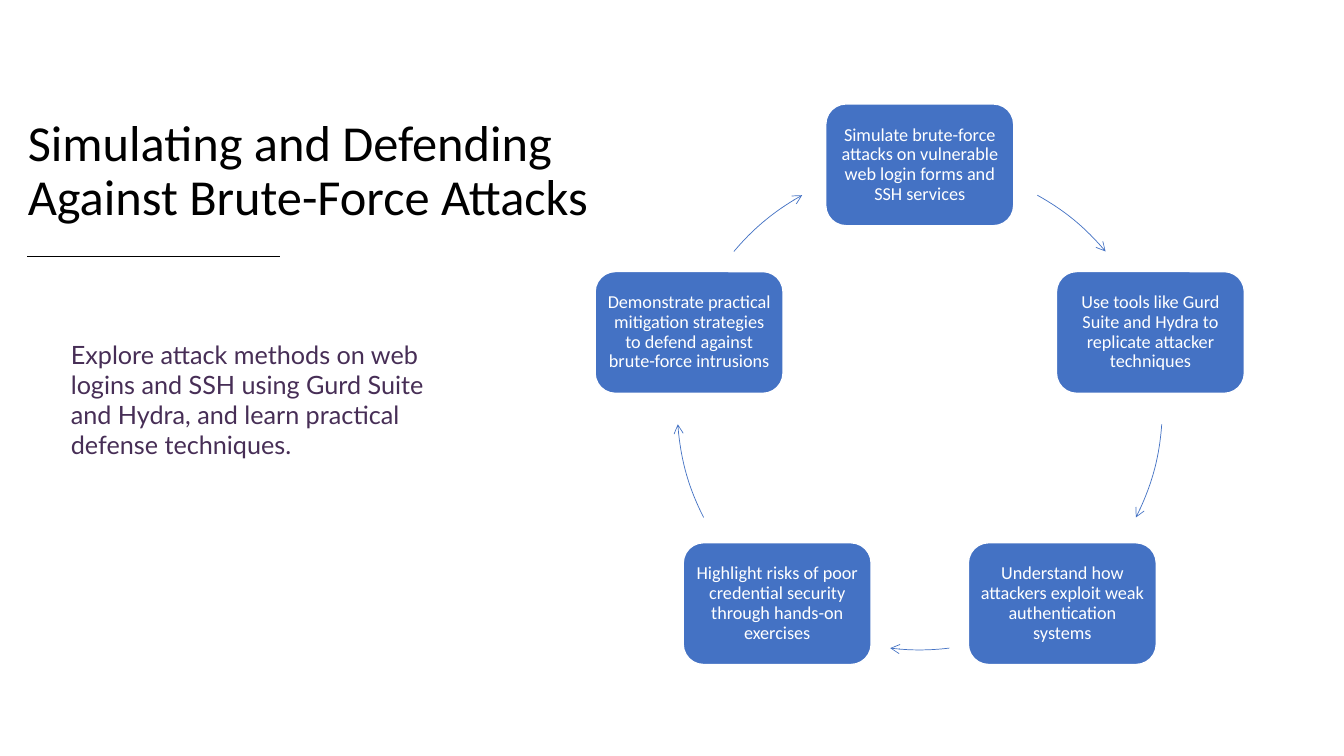
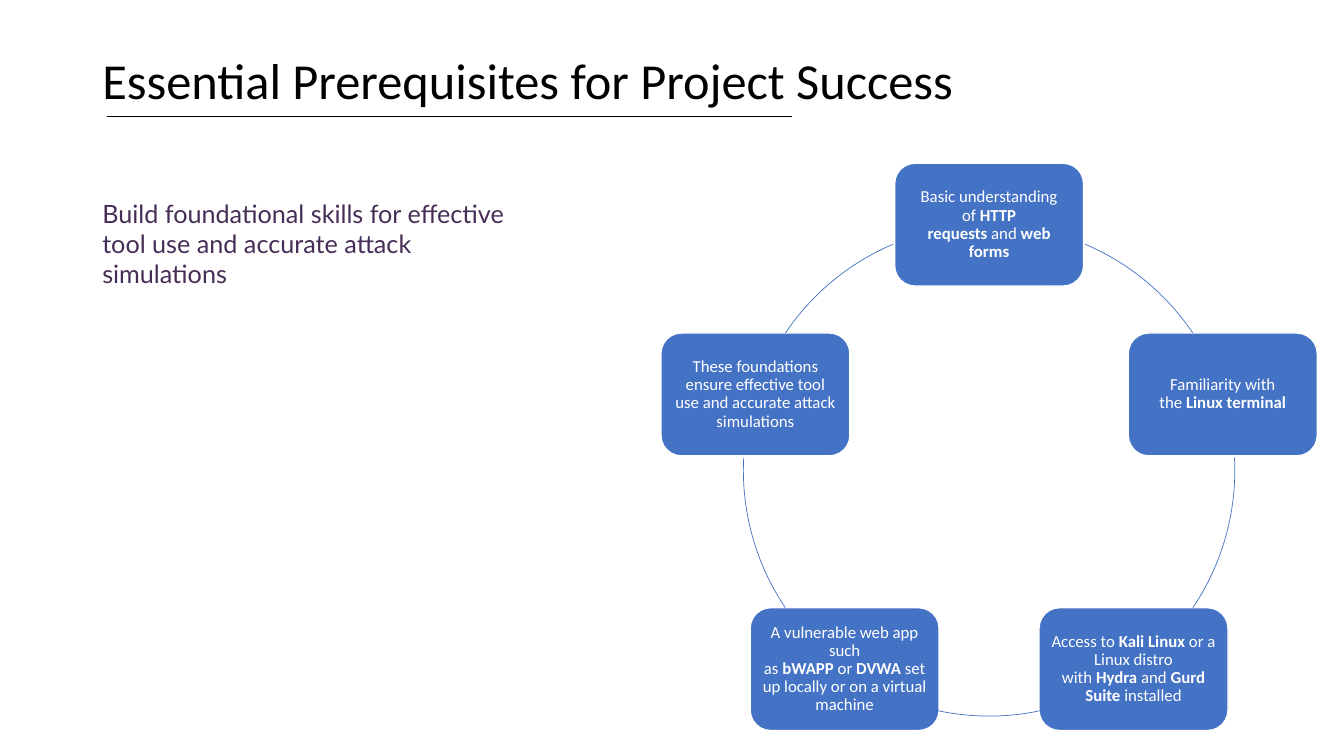
from math import cos, radians, sin

from lxml import etree
from pptx import Presentation
from pptx.dml.color import RGBColor
from pptx.enum.shapes import MSO_CONNECTOR, MSO_SHAPE
from pptx.enum.text import MSO_ANCHOR, PP_ALIGN
from pptx.oxml.ns import qn
from pptx.util import Emu, Pt

ROUND, ARC, STRAIGHT = MSO_SHAPE.ROUNDED_RECTANGLE, MSO_SHAPE.ARC, MSO_CONNECTOR.STRAIGHT
TOP, MIDDLE, LEFT, CENTER = MSO_ANCHOR.TOP, MSO_ANCHOR.MIDDLE, PP_ALIGN.LEFT, PP_ALIGN.CENTER

BLACK = RGBColor(0x00, 0x00, 0x00)
WHITE = RGBColor(0xFF, 0xFF, 0xFF)
BLUE = RGBColor(0x44, 0x72, 0xC4)
PURPLE = RGBColor(0x47, 0x2E, 0x56)
HEAD_FONT, BODY_FONT = "Calibri", "Lato"
HARD_SPACE = chr(160)

SLIDES = [
    {
        "title": "Simulating and Defending Against Brute-Force Attacks",
        "title_box": (17, 114, 649, 100),
        "rule": (26, 244, 267),
        "body": "Explore attack methods on web logins and SSH using Gurd Suite "
                "and Hydra, and learn practical defense techniques.",
        "body_box": (58, 318, 368, 126),
        "center": (876, 388), "radius": 231, "node": (179, 116), "size": 13,
        "arcs": [(299, 320), (4, 27), (83, 97)], "arrows": True,
        "steps": [
            ["Simulate brute-force attacks on vulnerable web login forms and SSH services"],
            ["Use tools like Gurd Suite and Hydra to replicate attacker techniques"],
            ["Understand how attackers exploit weak authentication systems"],
            ["Highlight risks of poor credential security through hands-on exercises"],
            ["Demonstrate practical mitigation strategies to defend against brute-force intrusions"],
        ],
    },
    {
        "title": "Essential Prerequisites for Project Success",
        "title_box": (88, 38, 1104, 83),
        "rule": (102, 111, 754),
        "body": "Build foundational skills for effective tool use and accurate attack simulations",
        "body_box": (88, 184, 415, 97),
        "center": (942, 448), "radius": 234, "node": (180, 117), "size": 12,
        "arcs": [(293, 326), (357, 34), (78, 102)], "arrows": False,
        "steps": [
            ["Basic understanding of", "HTTP requests", "and", "web forms"],
            ["Familiarity with the", "Linux terminal"],
            ["Access to", "Kali Linux", "or a Linux distro with", "Hydra",
             "and", "Gurd Suite", "installed"],
            ["A vulnerable web app such as", "bWAPP", "or", "DVWA",
             "set up locally or on a virtual machine"],
            ["These foundations ensure effective tool use and accurate attack simulations"],
        ],
    },
]


def px(n):
    return Emu(round(n * 9525))


def write(tf, parts, font, size, color, anchor=TOP, align=LEFT, spacing=1.0):
    tf.word_wrap = True
    tf.vertical_anchor = anchor
    p = tf.paragraphs[0]
    p.alignment = align
    p.line_spacing = spacing
    last = len(parts) - 1
    for i, part in enumerate(parts):
        bold = i % 2 == 1
        before = HARD_SPACE if i > 0 and not bold else ""
        after = HARD_SPACE if i < last and not bold else ""
        r = p.add_run()
        r.text = before + part + after
        r.font.name = font
        r.font.size = Pt(size)
        r.font.bold = bold
        r.font.color.rgb = color


def add_text(s, box, text, *style):
    sp = s.shapes.add_textbox(*map(px, box))
    write(sp.text_frame, [text], *style)


def add_rule(s, left, y, right):
    line = s.shapes.add_connector(STRAIGHT, px(left), px(y), px(right), px(y))
    line.line.color.rgb = BLACK
    line.line.width = Pt(0.5)
    etree.SubElement(line._element.spPr, qn("a:effectLst"))


def add_arc(s, center, radius, start, end, arrow):
    cx, cy = center
    sp = s.shapes.add_shape(ARC, px(cx - radius), px(cy - radius), px(2 * radius), px(2 * radius))
    sp.shadow.inherit = False
    sp.adjustments[0] = start * 0.6
    sp.adjustments[1] = end * 0.6
    sp.fill.background()
    sp.line.color.rgb = BLUE
    sp.line.width = Pt(0.5)
    if arrow:
        etree.SubElement(sp.line._get_or_add_ln(), qn("a:tailEnd"), type="arrow")


def add_node(s, cx, cy, size, parts, points):
    w, h = size
    sp = s.shapes.add_shape(ROUND, px(cx - w / 2), px(cy - h / 2), px(w), px(h))
    sp.shadow.inherit = False
    sp.fill.solid()
    sp.fill.fore_color.rgb = BLUE
    sp.line.color.rgb = WHITE
    sp.line.width = Pt(1)
    tf = sp.text_frame
    tf.margin_left = tf.margin_right = tf.margin_top = tf.margin_bottom = px(5)
    write(tf, parts, HEAD_FONT, points, WHITE, MIDDLE, CENTER, 0.9)


def add_cycle(s, d):
    (cx, cy), radius, steps = d["center"], d["radius"], d["steps"]
    for i, parts in enumerate(steps):
        a = radians(360 / len(steps) * i)
        add_node(s, cx + radius * sin(a), cy - radius * cos(a), d["node"], parts, d["size"])
    mirrored = [((180 - b) % 360, (180 - a) % 360) for a, b in d["arcs"][:2]]
    for start, end in d["arcs"] + mirrored:
        add_arc(s, d["center"], radius, start, end, d["arrows"])


def main():
    prs = Presentation()
    prs.slide_width, prs.slide_height = px(1280), px(720)
    for d in SLIDES:
        s = prs.slides.add_slide(prs.slide_layouts[6])
        add_text(s, d["title_box"], d["title"], HEAD_FONT, 36, BLACK, MIDDLE, LEFT, 0.9)
        add_cycle(s, d)
        add_text(s, d["body_box"], d["body"], BODY_FONT, 18, PURPLE)
        add_rule(s, *d["rule"])
    prs.save("out.pptx")


if __name__ == "__main__":
    main()
